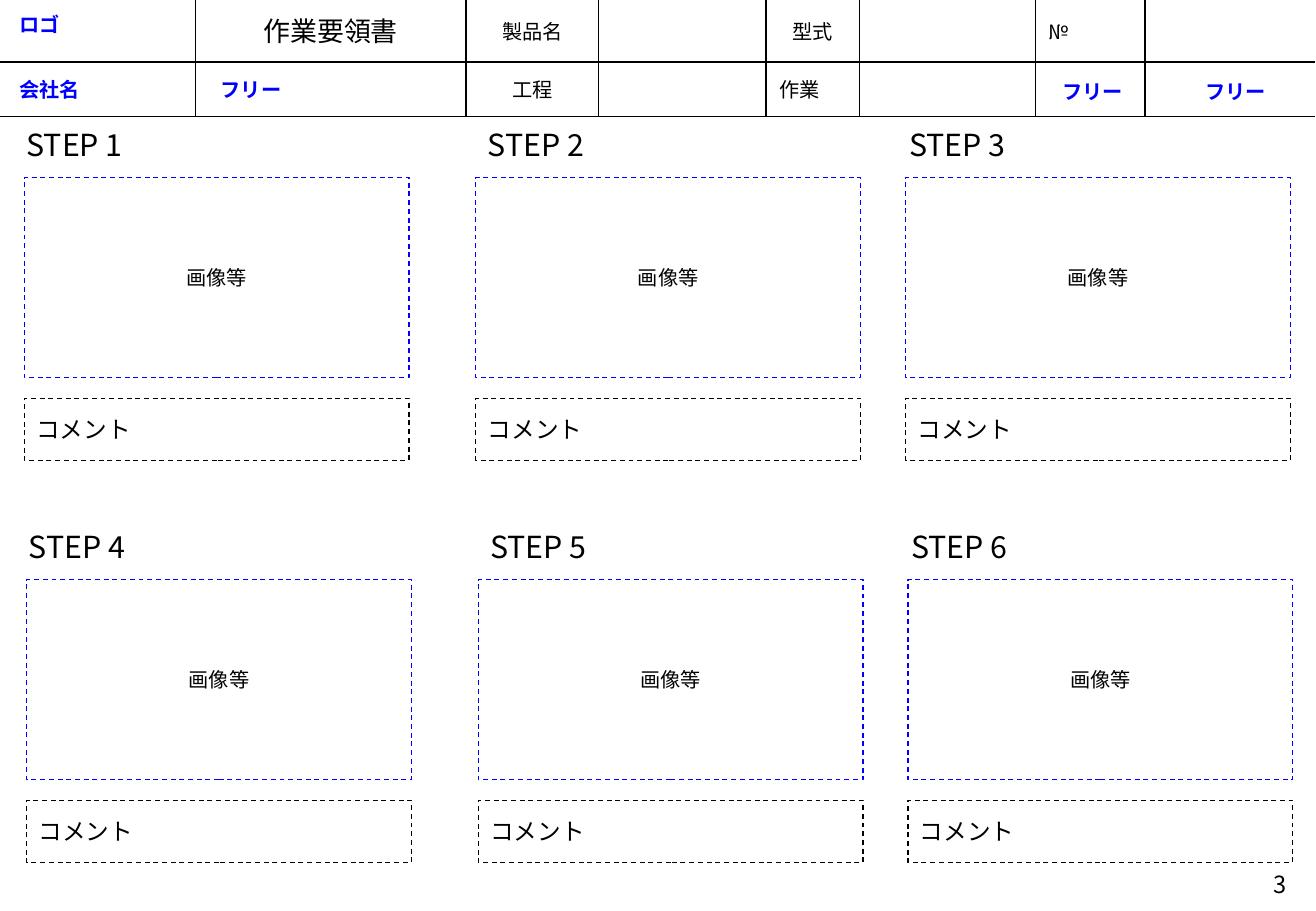
import pptx
import pptx.dml.color
import pptx.enum.dml
import pptx.enum.shapes
import pptx.enum.text
import pptx.util
from lxml import etree
from pptx.oxml.ns import qn
from pptx.util import Inches, Pt

FONT = "Noto Sans CJK JP"
COLORS = {"black": "000000", "white": "FFFFFF", "blue": "0000FF", "comment": "040000"}
LEFT = pptx.enum.text.PP_ALIGN.LEFT
CENTER = pptx.enum.text.PP_ALIGN.CENTER
RIGHT = pptx.enum.text.PP_ALIGN.RIGHT
TOP = pptx.enum.text.MSO_ANCHOR.TOP
MIDDLE = pptx.enum.text.MSO_ANCHOR.MIDDLE

COLUMN_EDGES = [1.61, 3.84, 4.93, 6.31, 7.08, 8.53, 9.43, 10.83]
HEADER_MIDDLE, HEADER_BOTTOM = 0.51, 0.96
TOP_LABELS = ["作業要領書", "製品名", "", "型式", "", "№", ""]
# text, left, top, width
FREE_FIELDS = [
    ("ロゴ", 0.06, 0.05, 1.49),
    ("会社名", 0.06, 0.59, 1.49),
    ("フリー", 1.72, 0.59, 2.05),
    ("フリー", 8.65, 0.6, 0.87),
    ("フリー", 9.83, 0.6, 0.87),
]
# left of the boxes, left of the title
STEP_COLUMNS = [(0.2, 0.12), (3.92, 3.92), (7.46, 7.39)]
# shift to the right, top of the title
STEP_ROWS = [(0, 0.99), (0.02, 4.3)]


def rgb(color):
    return pptx.dml.color.RGBColor.from_string(COLORS[color])


def write(shape, text, size, align=LEFT, anchor=MIDDLE, color="black", bold=False, inset=0.1):
    frame = shape.text_frame
    frame.text = text
    frame.word_wrap = True
    frame.vertical_anchor = anchor
    frame.margin_left = frame.margin_right = Inches(inset)
    frame.margin_top = frame.margin_bottom = Inches(0.05)
    paragraph = frame.paragraphs[0]
    paragraph.alignment = align
    for run in paragraph.runs:
        run.font.size = Pt(size)
        run.font.bold = bold
        run.font.name = FONT
        run.font.color.rgb = rgb(color)
        # East Asian characters take their typeface from a:ea
        etree.SubElement(run.font._element, qn("a:ea"), typeface=FONT)


def add_text(slide, text, box, size, **style):
    shape = slide.shapes.add_textbox(*map(Inches, box))
    write(shape, text, size, **style)
    return shape


def add_box(slide, box, line=None):
    """Add a white rectangle, dashed in the line colour if one is given."""
    shape = slide.shapes.add_shape(pptx.enum.shapes.MSO_SHAPE.RECTANGLE, *map(Inches, box))
    shape.shadow.inherit = False
    shape.fill.solid()
    shape.fill.fore_color.rgb = rgb("white")
    if line:
        shape.line.color.rgb = rgb(line)
        shape.line.width = Pt(0.75)
        shape.line.dash_style = pptx.enum.dml.MSO_LINE.DASH
    else:
        shape.line.fill.background()
    return shape


def add_rule(slide, x1, y1, x2, y2):
    rule = slide.shapes.add_connector(
        pptx.enum.shapes.MSO_CONNECTOR.STRAIGHT, *map(Inches, (x1, y1, x2, y2)))
    rule.line.color.rgb = rgb("black")
    rule.line.width = Pt(1)
    etree.SubElement(rule._element.spPr, qn("a:effectLst"))


def add_header(slide):
    for index, label in enumerate(TOP_LABELS):
        left, right = COLUMN_EDGES[index:index + 2]
        cell = add_box(slide, (left, 0, right - left, HEADER_MIDDLE))
        if label:
            write(cell, label, 16 if index == 0 else 12,
                  align=LEFT if label == "№" else CENTER, inset=0.11)

    height = HEADER_BOTTOM - HEADER_MIDDLE
    add_text(slide, "工程", (3.84, HEADER_MIDDLE, 1.09, height), 12, align=CENTER, inset=0.11)
    add_text(slide, "作業", (6.31, HEADER_MIDDLE, 0.77, height), 12, inset=0.11)

    first, last = COLUMN_EDGES[0], COLUMN_EDGES[-1]
    for x in COLUMN_EDGES[:-1]:
        add_rule(slide, x, 0, x, HEADER_BOTTOM)
    add_rule(slide, 0, HEADER_MIDDLE, last, HEADER_MIDDLE)
    add_rule(slide, 0, HEADER_BOTTOM, first, HEADER_BOTTOM)
    add_rule(slide, first, HEADER_BOTTOM, last, HEADER_BOTTOM)

    for text, left, top, width in FREE_FIELDS:
        add_text(slide, text, (left, top, width, 0.4), 12, anchor=TOP, color="blue", bold=True)


def add_step(slide, number, left, title_left, top):
    image_area = add_box(slide, (left, top + 0.47, 3.17, 1.65), line="blue")
    write(image_area, "画像等", 12, align=CENTER)
    comment = add_box(slide, (left, top + 2.29, 3.17, 0.51), line="comment")
    write(comment, "コメント", 14)
    add_text(slide, f"STEP {number}", (title_left, top, 2.44, 0.4), 18, anchor=TOP)


def add_page_number(slide):
    number = add_text(slide, "3", (10.17, 7.14, 0.67, 0.36), 14, align=RIGHT)
    number.text_frame.margin_right = Inches(0.24)
    number.text_frame.paragraphs[0].line_spacing = Pt(11)


def main():
    presentation = pptx.Presentation()
    presentation.slide_width = Inches(10.84)
    presentation.slide_height = Inches(7.5)
    slide = presentation.slides.add_slide(presentation.slide_layouts[6])
    add_header(slide)
    add_page_number(slide)
    for row, (shift, top) in enumerate(STEP_ROWS):
        for column, (left, title_left) in enumerate(STEP_COLUMNS):
            number = row * len(STEP_COLUMNS) + column + 1
            add_step(slide, number, left + shift, title_left + shift, top)
    presentation.save("out.pptx")


if __name__ == "__main__":
    main()
